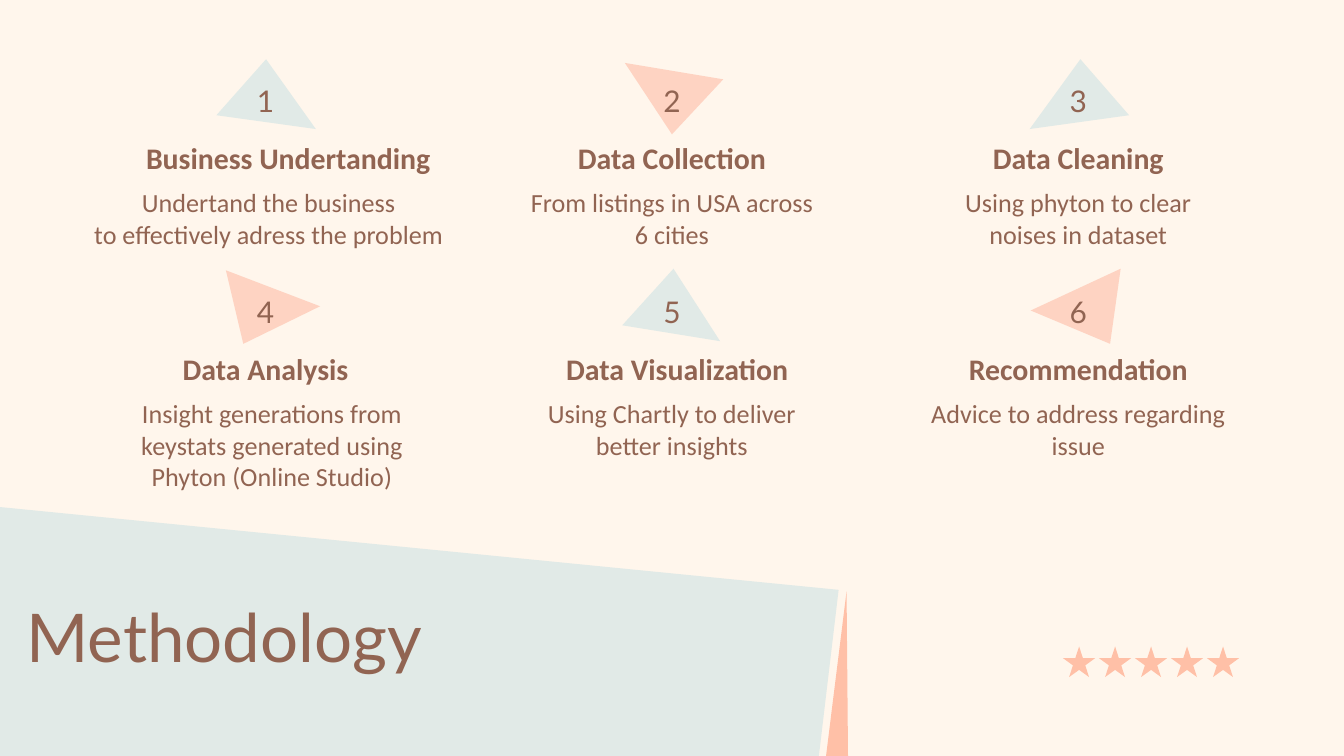
from dataclasses import dataclass

from pptx import Presentation
from pptx.dml.color import RGBColor
from pptx.enum.shapes import MSO_SHAPE
from pptx.enum.text import MSO_ANCHOR, MSO_AUTO_SIZE, PP_ALIGN
from pptx.util import Cm, Pt

STAR = MSO_SHAPE.STAR_5_POINT
LEFT, CENTER = PP_ALIGN.LEFT, PP_ALIGN.CENTER
TOP, MIDDLE = MSO_ANCHOR.TOP, MSO_ANCHOR.MIDDLE
NO_AUTOFIT = MSO_AUTO_SIZE.NONE
TITLE_ONLY = 5

COLORS = {
    "background": "FFF6EC",
    "text": "916452",
    "mist": "E1EAE7",
    "blush": "FED3C2",
    "peach": "FFC0A7",
}

# Grid of steps, in centimetres
COLUMNS = 3
FIRST_CENTER, COLUMN_PITCH = 5.02, 7.68
FIRST_MIDDLE, ROW_PITCH = 1.9, 3.99
COLUMN_WIDTH = 6.07


@dataclass
class Step:
    """Triangle points are relative to the number; shifts move text sideways."""
    heading: str
    body: str
    color: str
    triangle: list
    heading_shift: float = 0
    body_shift: float = 0
    body_width: float = COLUMN_WIDTH


STEPS = [
    Step("Business Undertanding",
         "Undertand the business\nto effectively adress the problem",
         "mist", [(-0.93, 0.28), (0.01, -0.78), (0.95, 0.54)],
         heading_shift=0.43, body_shift=0.06, body_width=8.13),
    Step("Data Collection", "From listings in USA across 6 cities",
         "blush", [(0.97, -0.4), (0, 0.64), (-0.89, -0.71)]),
    Step("Data Cleaning", "Using phyton to clear noises in dataset",
         "mist", [(0.96, 0.28), (0.04, -0.78), (-0.92, 0.54)]),
    Step("Data Analysis",
         "Insight generations from keystats generated using "
         "Phyton (Online Studio)",
         "blush", [(-0.75, -0.78), (-0.42, 0.61), (1.03, -0.1)],
         body_shift=0.12, body_width=6.38),
    Step("Data Visualization", "Using Chartly to deliver better insights",
         "mist", [(-0.94, 0.26), (0.03, -0.81), (0.91, 0.56)],
         heading_shift=0.1),
    Step("Recommendation", "Advice to address regarding issue",
         "blush", [(0.8, -0.81), (0.6, 0.61), (-0.9, -0.02)]),
]


class SlideBuilder:
    def __init__(self, slide):
        self.slide = slide
        self.text_color = RGBColor.from_string(COLORS["text"])
        self.inset = Cm(0.25)

    def background(self, color):
        fill = self.slide.background.fill
        fill.solid()
        fill.fore_color.rgb = RGBColor.from_string(COLORS[color])

    def paint(self, shape, color):
        shape.shadow.inherit = False
        shape.fill.solid()
        shape.fill.fore_color.rgb = RGBColor.from_string(COLORS[color])
        shape.line.fill.background()

    def polygon(self, points, color):
        corners = [(Cm(x), Cm(y)) for x, y in points]
        builder = self.slide.shapes.build_freeform(*corners[0])
        builder.add_line_segments(corners[1:], close=True)
        self.paint(builder.convert_to_shape(), color)

    def star(self, left, top, width, height, color):
        shape = self.slide.shapes.add_shape(
            STAR, Cm(left), Cm(top), Cm(width), Cm(height))
        self.paint(shape, color)

    def set_text(self, shape, text, size, font, align, anchor, bold=False):
        frame = shape.text_frame
        frame.word_wrap = True
        frame.auto_size = NO_AUTOFIT
        frame.vertical_anchor = anchor
        frame.margin_left = frame.margin_right = self.inset
        frame.margin_top = frame.margin_bottom = self.inset
        paragraph = frame.paragraphs[0]
        paragraph.alignment = align
        for index, line in enumerate(text.split("\n")):
            if index:
                paragraph.add_line_break()
            run = paragraph.add_run()
            run.text = line
            run.font.size = Pt(size)
            run.font.name = font
            run.font.bold = bold
            run.font.color.rgb = self.text_color

    def title(self, text, left, top, width, height):
        """Place the title in front of the shapes drawn so far."""
        shape = self.slide.shapes.title
        shape.element.getparent().append(shape.element)
        shape.left, shape.top = Cm(left), Cm(top)
        shape.width, shape.height = Cm(width), Cm(height)
        self.set_text(shape, text, 36, "Lato", LEFT, TOP)

    def centered_text(self, text, center, top, width, height, size,
                      font="Calibri", anchor=MIDDLE, bold=False):
        box = self.slide.shapes.add_textbox(
            Cm(center - width / 2), Cm(top), Cm(width), Cm(height))
        self.set_text(box, text, size, font, CENTER, anchor, bold)

    def step(self, number, step):
        row, column = divmod(number - 1, COLUMNS)
        center = FIRST_CENTER + column * COLUMN_PITCH
        middle = FIRST_MIDDLE + row * ROW_PITCH
        self.polygon([(center + x, middle + y) for x, y in step.triangle],
                     step.color)
        self.centered_text(str(number), center, middle - 0.4, 2.21, 0.79,
                           16, font="Lato")
        self.centered_text(step.heading, center + step.heading_shift,
                           middle + 0.69, COLUMN_WIDTH, 0.79, 16, bold=True)
        self.centered_text(step.body, center + step.body_shift,
                           middle + 1.38, step.body_width, 1.75, 14,
                           anchor=TOP)


def main():
    presentation = Presentation()
    presentation.slide_width = Cm(25.4)
    presentation.slide_height = Cm(14.29)
    layout = presentation.slide_layouts[TITLE_ONLY]
    builder = SlideBuilder(presentation.slides.add_slide(layout))

    builder.background("background")
    builder.polygon([(15.44, 14.6), (-0.76, 14.55), (-0.86, 9.5),
                     (15.85, 11.15)], "mist")
    builder.polygon([(16, 11.18), (16.03, 14.58), (15.57, 14.63)], "peach")
    for index in range(5):
        builder.star(20.09 + 0.68 * index, 12.22, 0.61, 0.58, "peach")
    builder.title("Methodology", 0.25, 11, 13.16, 2.84)
    for number, step in enumerate(STEPS, start=1):
        builder.step(number, step)

    presentation.save("out.pptx")


if __name__ == "__main__":
    main()
